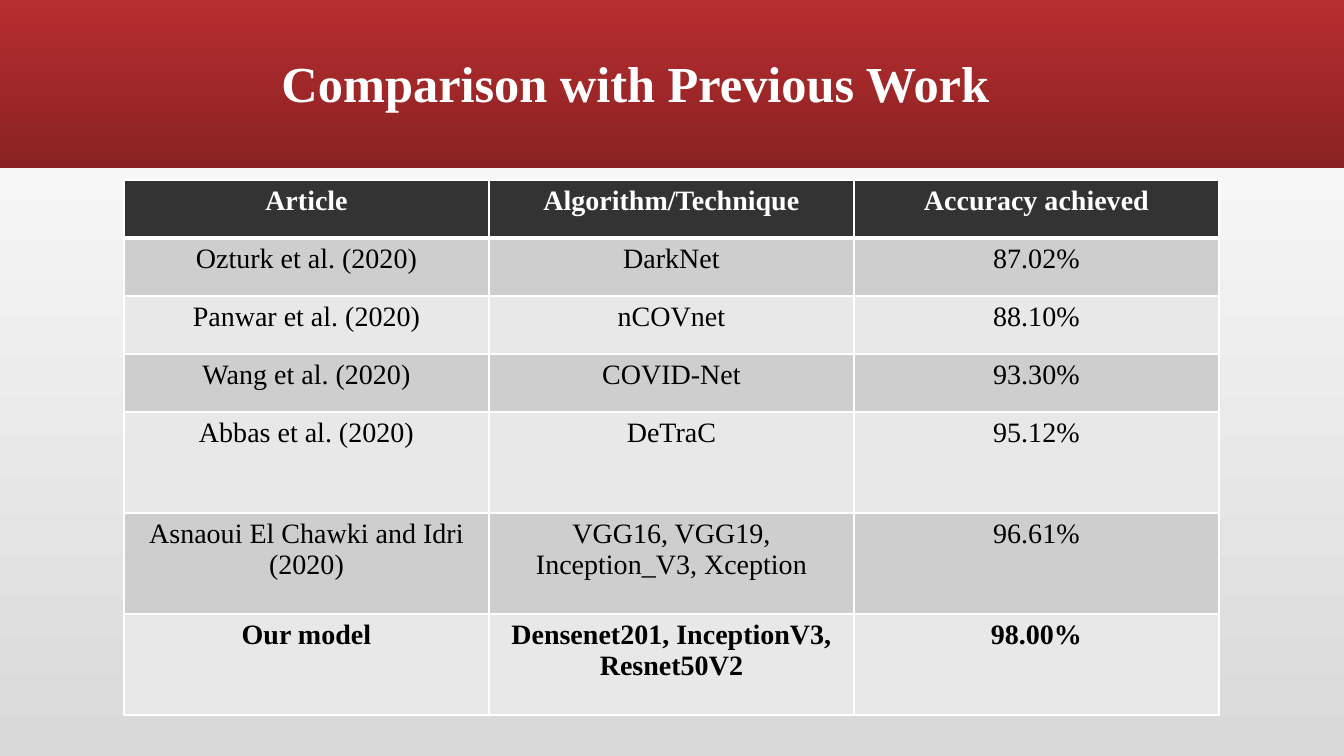
from lxml import etree
from pptx import Presentation
from pptx import util as u
from pptx.dml.color import RGBColor
from pptx.enum import shapes, text
from pptx.oxml.ns import qn

PX = 12192000 / 1344
FONT = "Times New Roman"
COLORS = {
    "white": "FFFFFF", "black": "000000", "page": "D9D9D9",
    "red": "B82D2F", "dark_red": "8A2223",
    "header": "333333", "odd": "CECECE", "even": "E8E8E8",
}
ROWS = [
    ("Article", "Algorithm/Technique", "Accuracy achieved"),
    ("Ozturk et al. (2020)", "DarkNet", "87.02%"),
    ("Panwar et al. (2020)", "nCOVnet", "88.10%"),
    ("Wang et al. (2020)", "COVID-Net", "93.30%"),
    ("Abbas et al. (2020)", "DeTraC", "95.12%"),
    ("Asnaoui El Chawki and Idri (2020)", "VGG16, VGG19, Inception_V3, Xception", "96.61%"),
    ("Our model", "Densenet201, InceptionV3, Resnet50V2", "98.00%"),
]
HEIGHTS = [58] * 4 + [101] * 3
COL_WIDTH = 365


def set_gradient(fill, first, last, angle):
    fill.gradient()
    fill.gradient_angle = angle
    for stop, name, position in zip(fill.gradient_stops, (first, last), (0, 1)):
        stop.color.rgb = RGBColor.from_string(COLORS[name])
        stop.position = position


def set_text(tf, content, size, color, bold):
    tf.text = content
    p = tf.paragraphs[0]
    p.alignment = text.PP_ALIGN.CENTER
    font = p.runs[0].font
    font.name, font.size, font.bold = FONT, u.Pt(size), bold
    font.color.rgb = RGBColor.from_string(COLORS[color])
    return p


prs = Presentation()
prs.slide_width, prs.slide_height = round(1344 * PX), round(756 * PX)
s = prs.slides.add_slide(prs.slide_layouts[6])
set_gradient(s.background.fill, "page", "white", 90)

# Red band
band = s.shapes.add_shape(shapes.MSO_SHAPE.RECTANGLE, 0, 0, prs.slide_width, round(168 * PX))
band.shadow.inherit = False
band.line.fill.background()
set_gradient(band.fill, "red", "dark_red", 270)

# Title
title = s.shapes.add_textbox(*(round(v * PX) for v in (46, 11, 1179, 151)))
tf = title.text_frame
tf.word_wrap = True
tf.vertical_anchor = text.MSO_ANCHOR.MIDDLE
p = set_text(tf, "Comparison with Previous Work", 36, "white", True)
p.line_spacing = 0.9

# Comparison table
box = (124, 180, COL_WIDTH * 3, sum(HEIGHTS))
table = s.shapes.add_table(len(ROWS), 3, *(round(v * PX) for v in box)).table
for column in table.columns:
    column.width = round(COL_WIDTH * PX)
for i, (row, height) in enumerate(zip(ROWS, HEIGHTS)):
    table.rows[i].height = round(height * PX)
    fill_name = "header" if i == 0 else "odd" if i % 2 else "even"
    for j, content in enumerate(row):
        cell = table.cell(i, j)
        set_text(cell.text_frame, content, 20, "white" if i == 0 else "black",
                 i in (0, len(ROWS) - 1))
        # Borders, with a thick rule under the header
        tcPr = cell._tc.get_or_add_tcPr()
        for side in "LRTB":
            thick = (i, side) in ((0, "B"), (1, "T"))
            ln = etree.SubElement(tcPr, qn("a:ln" + side), w=str(u.Pt(3 if thick else 1)))
            solid = etree.SubElement(ln, qn("a:solidFill"))
            etree.SubElement(solid, qn("a:srgbClr"), val=COLORS["white"])
        cell.fill.solid()
        cell.fill.fore_color.rgb = RGBColor.from_string(COLORS[fill_name])

prs.save("out.pptx")
